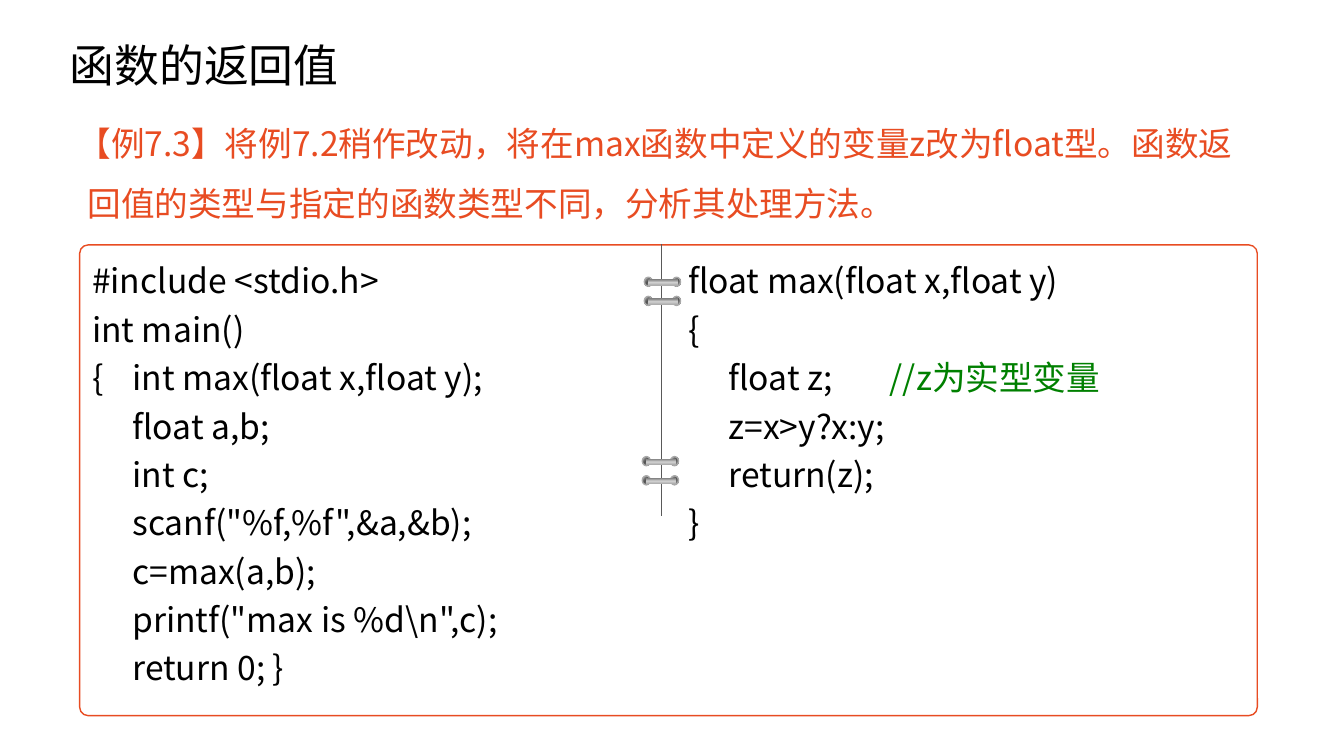
from lxml import etree
from pptx import Presentation
from pptx.dml.color import RGBColor
from pptx.enum.shapes import MSO_CONNECTOR, MSO_SHAPE
from pptx.enum.text import MSO_ANCHOR, PP_ALIGN
from pptx.oxml import parse_xml
from pptx.oxml.ns import qn
from pptx.util import Inches, Pt

FONT = "Noto Sans CJK SC"
COLORS = {"text": "000000", "accent": "E84C22", "note": "008000",
          "paper": "FFFFFF", "rule": "595959", "rim": "A9A9A9"}
BALL = [(20, "808080"), (51, "525252"), (86, "A5A5A5")]
BAR = [(9, "808080"), (57, "D2D2D2"), (98, "AEAEAE")]
ROUND = ('<a:path path="circle"><a:fillToRect l="100000" t="100000"/>'
         '</a:path>')
DOWN = '<a:lin ang="5400000" scaled="0"/>'
CODE = r"""#include <stdio.h>
int main()
{	int max(float x,float y);
	float a,b;
	int c;
	scanf("%f,%f",&a,&b);
	c=max(a,b);
	printf("max is %d\n",c);
	return 0; }
float max(float x,float y)
{
	float z;		//z为实型变量
	z=x>y?x:y;
	return(z);
}"""


def style(run, size, color):
    """Set size, colour and both the Latin and East Asian font."""
    run.font.size = Pt(size)
    run.font.color.rgb = RGBColor.from_string(COLORS[color])
    run.font.name = FONT
    etree.SubElement(run.font._element, qn("a:ea"), typeface=FONT)


def add_metal(group, kind, box, stops, shade):
    """Add a ring part with a three-stop gradient."""
    part = group.shapes.add_shape(kind, *[Inches(v) for v in box])
    part.shadow.inherit = False
    marks = "".join(f'<a:gs pos="{pos * 1000}"><a:srgbClr val="{color}"/></a:gs>'
                    for pos, color in stops)
    part._element.spPr.insert(2, parse_xml(
        '<a:gradFill xmlns:a="http://schemas.openxmlformats.org/drawingml/'
        f'2006/main"><a:gsLst>{marks}</a:gsLst>{shade}</a:gradFill>'))
    return part


prs = Presentation()
prs.slide_width, prs.slide_height = Inches(13.33), Inches(7.5)
slide = prs.slides.add_slide(prs.slide_layouts[5])

# Title
title = slide.shapes.title
title.left, title.top = Inches(0.59), Inches(0.25)
title.width, title.height = Inches(11.5), Inches(0.85)
title.text_frame.text = "函数的返回值"
title.text_frame.vertical_anchor = MSO_ANCHOR.MIDDLE
para = title.text_frame.paragraphs[0]
para.alignment = PP_ALIGN.LEFT
para.line_spacing = 0.9
style(para.runs[0], 32, "text")

# Task
task = slide.shapes.add_textbox(Inches(0.67), Inches(0.97),
                                Inches(11.8), Inches(0.6))
task.text_frame.word_wrap = True
para = task.text_frame.paragraphs[0]
para.text = ("【例7.3】将例7.2稍作改动，将在max函数中定义的变量z改为float型。"
             "函数返回值的类型与指定的函数类型不同，分析其处理方法。")
para.line_spacing = 1.5
para.space_before = Pt(10)
props = para._p.get_or_add_pPr()
props.set("marL", str(Inches(0.1)))
props.set("indent", str(Inches(-0.1)))
style(para.runs[0], 24, "accent")

# Code panel in two columns
panel = slide.shapes.add_shape(MSO_SHAPE.ROUNDED_RECTANGLE, Inches(0.79),
                               Inches(2.43), Inches(11.68), Inches(4.67))
panel.adjustments[0] = 0.018
panel.shadow.inherit = False
panel.fill.solid()
panel.fill.fore_color.rgb = RGBColor.from_string(COLORS["paper"])
panel.line.color.rgb = RGBColor.from_string(COLORS["accent"])
panel.line.width = Pt(1)
frame = panel.text_frame
frame.word_wrap = True
frame.vertical_anchor = MSO_ANCHOR.TOP
frame._txBody.bodyPr.set("numCol", "2")
frame._txBody.bodyPr.set("spcCol", str(Inches(0.39)))
for i, line in enumerate(CODE.split("\n")):
    para = frame.paragraphs[0] if i == 0 else frame.add_paragraph()
    code, mark, note = line.partition("//")
    para.text = code
    para.alignment = PP_ALIGN.LEFT
    para.line_spacing = 1.2
    tabs = etree.SubElement(para._p.get_or_add_pPr(), qn("a:tabLst"))
    for stop in range(1, 7):
        etree.SubElement(tabs, qn("a:tab"), pos=str(Inches(0.4 * stop)),
                         algn="l")
    style(para.runs[0], 24, "text")
    if mark:
        run = para.add_run()
        run.text = mark + note
        style(run, 24, "note")

# Divider with binder rings
rule = slide.shapes.add_connector(MSO_CONNECTOR.STRAIGHT, Inches(6.56),
                                  Inches(2.42), Inches(6.56), Inches(5.12))
rule.line.color.rgb = RGBColor.from_string(COLORS["rule"])
rule.line.width = Pt(0.5)
etree.SubElement(rule._element.spPr, qn("a:effectLst"))
for left, top in [(6.39, 2.75), (6.37, 4.53)]:
    group = slide.shapes.add_group_shape()
    for y in (top, top + 0.19):
        for x in (left + 0.28, left):
            ball = add_metal(group, MSO_SHAPE.OVAL, (x, y, 0.08, 0.09),
                             BALL, ROUND)
            ball.line.color.rgb = RGBColor.from_string(COLORS["rim"])
            ball.line.width = Pt(1)
        bar = add_metal(group, MSO_SHAPE.RECTANGLE,
                        (left + 0.04, y + 0.02, 0.3, 0.06), BAR, DOWN)
        bar.line.fill.background()

prs.save("out.pptx")
